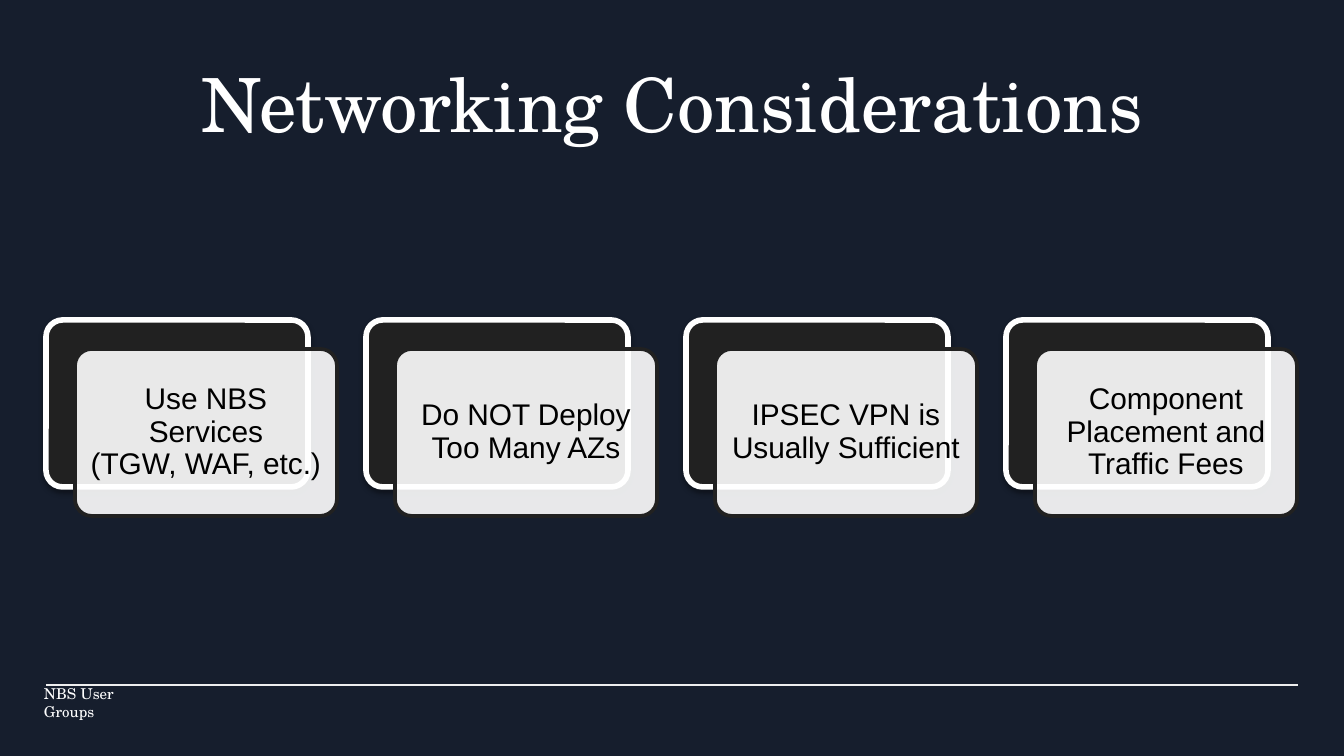
from lxml.etree import SubElement
from pptx import Presentation
from pptx.dml.color import RGBColor
from pptx.enum.shapes import MSO_CONNECTOR, MSO_SHAPE
from pptx.enum.text import MSO_ANCHOR, PP_ALIGN
from pptx.oxml.ns import qn
from pptx.util import Pt

TITLE = "Networking Considerations"
FOOTER = "NBS User Groups"
CARDS = [
    ["Use NBS Services", "(TGW, WAF, etc.)"],
    ["Do NOT Deploy Too Many AZs"],
    ["IPSEC VPN is Usually Sufficient"],
    ["Component Placement and Traffic Fees"],
]
HEX = {"navy": "161E2D", "white": "FFFFFF", "coal": "212121",
       "rule": "EEEEEE", "black": "000000"}
SERIF = "TeX Gyre Schola"
LEFT, TOP, WIDE, HIGH = 46, 320, 262, 167
PITCH, SHIFT = 320, 29


def px(n):
    return round(n * 914400 / 134.4)


def tint(name):
    return RGBColor.from_string(HEX[name])


def write(shape, lines, face, size, color, inset, fmt):
    frame = shape.text_frame
    sides = ("left", "top", "right", "bottom")
    box = {"word_wrap": True, "vertical_anchor": MSO_ANCHOR.MIDDLE,
           **{"margin_" + side: px(inset) for side in sides}}
    for key, value in box.items():
        setattr(frame, key, value)
    for i, line in enumerate(lines):
        para = frame.add_paragraph() if i else frame.paragraphs[0]
        para.text = line
        for key, value in fmt.items():
            setattr(para, key, value)
        for key, value in {"name": face, "size": Pt(size)}.items():
            setattr(para.font, key, value)
        para.font.color.rgb = tint(color)


def panel(x, y, fill, line, width):
    shape = slide.shapes.add_shape(
        MSO_SHAPE.ROUNDED_RECTANGLE, px(x), px(y), px(WIDE), px(HIGH))
    shape.adjustments[0] = 0.1
    shape.shadow.inherit = False
    shape.fill.solid()
    shape.fill.fore_color.rgb = tint(fill)
    shape.line.color.rgb = tint(line)
    shape.line.width = Pt(width)
    return shape


def alpha(node, share):
    SubElement(node, qn("a:alpha"), val=str(share * 1000))


def shade(shape):
    glow = SubElement(
        shape.element.spPr.find(qn("a:effectLst")), qn("a:outerShdw"),
        blurRad=str(Pt(3.1)), dist=str(Pt(1.6)), dir="5400000", rotWithShape="0")
    alpha(SubElement(glow, qn("a:srgbClr"), val=HEX["black"]), 38)


deck = Presentation()
deck.slide_width, deck.slide_height = px(1344), px(756)
slide = deck.slides.add_slide(deck.slide_layouts[6])
slide.background.fill.solid()
slide.background.fill.fore_color.rgb = tint("navy")

rule = slide.shapes.add_connector(
    MSO_CONNECTOR.STRAIGHT, px(LEFT), px(685), px(1298), px(685))
rule.line.color.rgb = tint("rule")
rule.line.width = Pt(0.75)
SubElement(rule.element.spPr, qn("a:effectLst"))

center = {"alignment": PP_ALIGN.CENTER, "line_spacing": 0.9}
foot = slide.shapes.add_textbox(px(31), px(685), px(142), px(35))
write(foot, [FOOTER], SERIF, 8, "white", 13, {"alignment": PP_ALIGN.LEFT})
head = slide.shapes.add_textbox(px(LEFT), px(66), px(1252), px(85))
write(head, [TITLE], SERIF, 40, "white", 13, center)

for i, lines in enumerate(CARDS):
    x = LEFT + i * PITCH
    shade(panel(x, TOP, "coal", "white", 3))
    card = panel(x + SHIFT, TOP + SHIFT, "white", "coal", 2)
    alpha(card.element.spPr.find(qn("a:solidFill"))[0], 90)
    write(card, lines, "Arial", 16, "black", 9, center)

deck.save("out.pptx")
